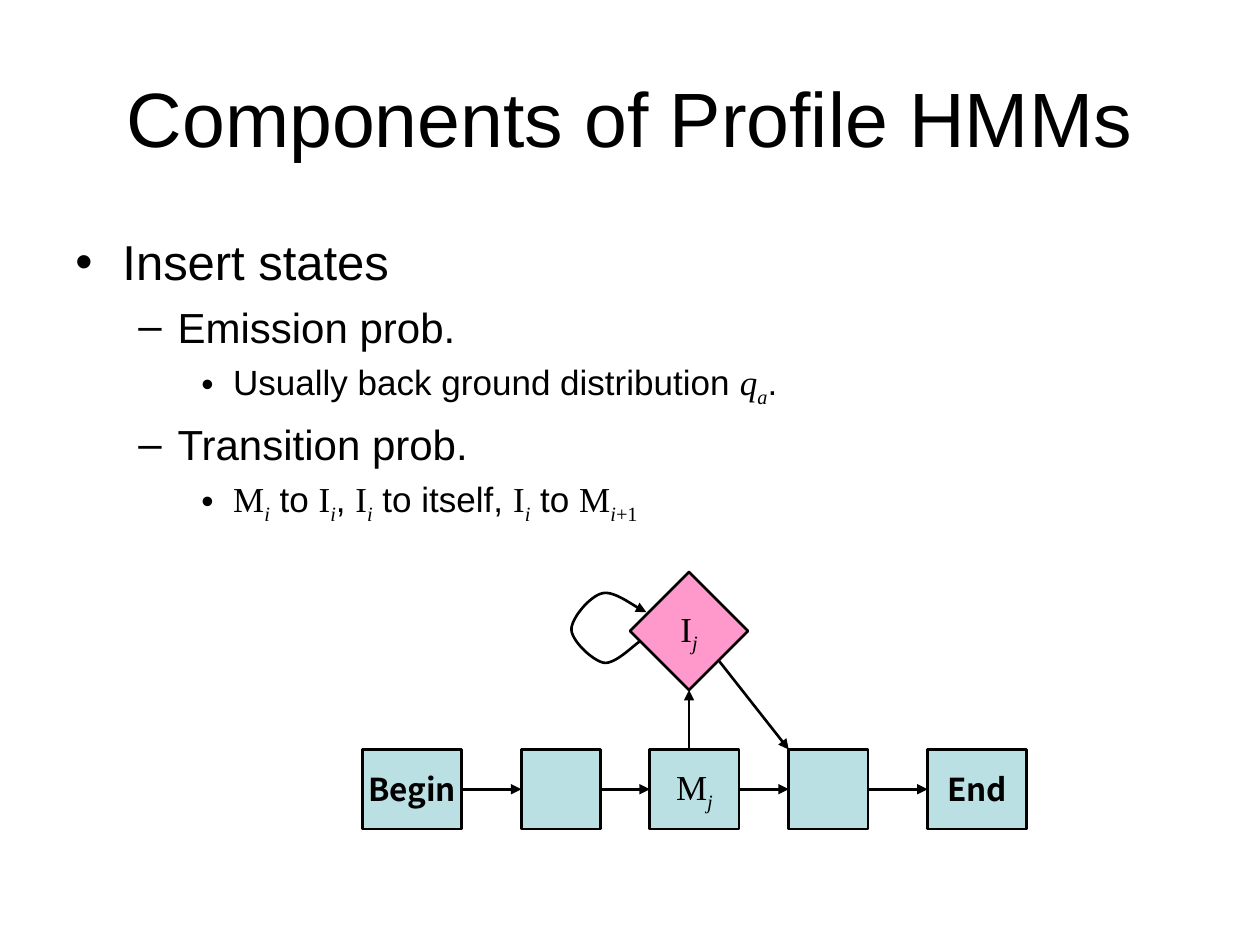
from dataclasses import dataclass
from typing import NamedTuple

from lxml import etree
from pptx import Presentation
from pptx.dml.color import RGBColor
from pptx.enum.shapes import MSO_CONNECTOR, MSO_SHAPE
from pptx.enum.text import MSO_ANCHOR, PP_ALIGN
from pptx.oxml.ns import qn
from pptx.util import Cm, Pt

RECT, DIAMOND = MSO_SHAPE.RECTANGLE, MSO_SHAPE.DIAMOND
STRAIGHT = MSO_CONNECTOR.STRAIGHT
MIDDLE = MSO_ANCHOR.MIDDLE
LEFT, CENTER = PP_ALIGN.LEFT, PP_ALIGN.CENTER
TOP, WEST, BOTTOM, EAST = range(4)

COLORS = {"ink": "000000", "match": "BBE0E3", "insert": "FF99CC"}
SANS, SERIF, LABEL = "Arial", "Times New Roman", "Noto Sans CJK KR"


class Run(NamedTuple):
    text: str
    face: str = SANS
    slant: bool = False
    sub: bool = False
    bold: bool = False


class Level(NamedTuple):
    mark: str
    left: float
    hang: float
    size: int


@dataclass
class State:
    left: float
    top: float
    width: float
    height: float
    runs: tuple = ()
    size: int = 20
    kind: int = RECT
    fill: str = "match"


def color(name: str) -> RGBColor:
    return RGBColor.from_string(COLORS[name])


def sub(text: str) -> Run:
    return Run(text, SERIF, True, True)


def write(para, runs, *, size: int, align=LEFT, before: float = 0) -> None:
    """Fill a paragraph with formatted runs."""
    para.alignment = align
    para.space_before = Pt(before)
    for item in runs:
        run = para.add_run()
        run.text = item.text
        font = run.font
        font.name, font.size = item.face, Pt(size)
        font.bold, font.italic = item.bold, item.slant
        font.color.rgb = color("ink")
        if item.sub:
            run._r.get_or_add_rPr().set("baseline", "-25000")


def add_box(slide, left: float, top: float, width: float, height: float):
    box = slide.shapes.add_textbox(Cm(left), Cm(top), Cm(width), Cm(height))
    box.text_frame.word_wrap = True
    return box.text_frame


def add_bullet(para, level: Level) -> None:
    props = para._p.get_or_add_pPr()
    props.set("marL", str(Cm(level.left)))
    props.set("indent", str(Cm(-level.hang)))
    etree.SubElement(props, qn("a:buFont")).set("typeface", SANS)
    etree.SubElement(props, qn("a:buChar")).set("char", level.mark)


def add_state(slide, state: State):
    shape = slide.shapes.add_shape(state.kind, Cm(state.left), Cm(state.top),
                                   Cm(state.width), Cm(state.height))
    shape.shadow.inherit = False
    shape.fill.solid()
    shape.fill.fore_color.rgb = color(state.fill)
    set_line(shape)
    if state.runs:
        frame = shape.text_frame
        frame.word_wrap = False
        frame.vertical_anchor = MIDDLE
        write(frame.paragraphs[0], state.runs, size=state.size, align=CENTER)
    return shape


def set_line(shape, head: bool = False) -> None:
    shape.line.color.rgb = color("ink")
    shape.line.width = Pt(1.5)
    if head:
        line = shape.line._get_or_add_ln()
        etree.SubElement(line, qn("a:tailEnd")).set("type", "triangle")


def add_arrow(slide, start=(0, 0), end=(0, 0), source=None, target=None):
    """Draw an arrow; source and target are (shape, side) pairs."""
    spots = [Cm(value) for value in (*start, *end)]
    arrow = slide.shapes.add_connector(STRAIGHT, *spots)
    if source:
        arrow.begin_connect(*source)
    if target:
        arrow.end_connect(*target)
    set_line(arrow, head=True)
    etree.SubElement(arrow._element.spPr, qn("a:effectLst"))


def trace(knots: list, steps: int = 16) -> list:
    """Points along a chain of cubic curves."""
    points = [knots[0]]
    for first in range(0, len(knots) - 1, 3):
        curve = knots[first:first + 4]
        for step in range(1, steps + 1):
            t = step / steps
            parts = ((1 - t) ** 3, 3 * t * (1 - t) ** 2,
                     3 * t * t * (1 - t), t ** 3)
            points.append(tuple(sum(p * k[axis] for p, k in zip(parts, curve))
                                for axis in (0, 1)))
    return points


def add_loop(slide, knots: list) -> None:
    points = [(Cm(x), Cm(y)) for x, y in trace(knots)]
    path = slide.shapes.build_freeform(*points[0])
    path.add_line_segments(points[1:], close=False)
    loop = path.convert_to_shape()
    loop.shadow.inherit = False
    loop.fill.background()
    set_line(loop, head=True)


LEVELS = [Level("•", 0.95, 0.95, 28), Level("–", 2.06, 0.79, 24),
          Level("•", 3.18, 0.64, 20)]
MATCH, INSERT = Run("M", SERIF), Run("I", SERIF)
INDEX = sub("i")
POINTS = [
    (0, [Run("Insert states")]),
    (1, [Run("Emission prob.")]),
    (2, [Run("Usually back ground distribution "), Run("q", SERIF, True),
         sub("a"), Run(".")]),
    (1, [Run("Transition prob.")]),
    (2, [MATCH, INDEX, Run(" to "), INSERT, INDEX, Run(", "),
         INSERT, INDEX, Run(" to itself, "), INSERT, INDEX, Run(" to "),
         MATCH, INDEX, Run("+1", SERIF, sub=True)]),
]
ROW, TALL = 15.11, 1.6
CHAIN = [
    State(7.31, ROW, 2, TALL, (Run("Begin", LABEL, bold=True),), 18),
    State(10.51, ROW, 1.6, TALL),
    State(13.1, ROW, 1.8, TALL, (MATCH, sub("j"))),
    State(15.9, ROW, 1.6, TALL),
    State(18.7, ROW, 2, TALL, (Run("End", LABEL, bold=True),), 18),
]
GEM = State(12.7, 11.53, 2.38, 2.38, (INSERT, sub("j")),
            kind=DIAMOND, fill="insert")
LOOP = [(12.9, 12.93), (12.78, 13), (12.4, 13.4), (12.17, 13.36),
        (11.94, 13.31), (11.54, 12.93), (11.52, 12.7),
        (11.51, 12.47), (11.89, 12.02), (12.14, 11.96),
        (12.4, 11.89), (12.83, 12.27), (13.03, 12.34)]


def main() -> None:
    deck = Presentation()
    deck.slide_width, deck.slide_height = Cm(25.4), Cm(19.05)
    slide = deck.slides.add_slide(deck.slide_layouts[6])

    # Title
    frame = add_box(slide, 1.27, 0.76, 22.86, 3.18)
    frame.vertical_anchor = MIDDLE
    write(frame.paragraphs[0], [Run("Components of Profile HMMs")],
          size=44, align=CENTER)

    # Bullet list
    frame = add_box(slide, 1.27, 4.55, 21.92, 12.47)
    for order, (depth, runs) in enumerate(POINTS):
        para = frame.add_paragraph() if order else frame.paragraphs[0]
        level = LEVELS[depth]
        para.level = depth
        add_bullet(para, level)
        write(para, runs, size=level.size,
              before=level.size / 4 if order else 0)

    # Chain of match states
    boxes = [add_state(slide, state) for state in CHAIN]
    for left, right in zip(boxes, boxes[1:]):
        add_arrow(slide, source=(left, EAST), target=(right, WEST))

    # Insert state with its transitions
    gem = add_state(slide, GEM)
    add_arrow(slide, start=(13.89, ROW), target=(gem, BOTTOM))
    add_arrow(slide, start=(14.5, 13.33), end=(15.9, ROW))
    add_loop(slide, LOOP)

    deck.save("out.pptx")


if __name__ == "__main__":
    main()
